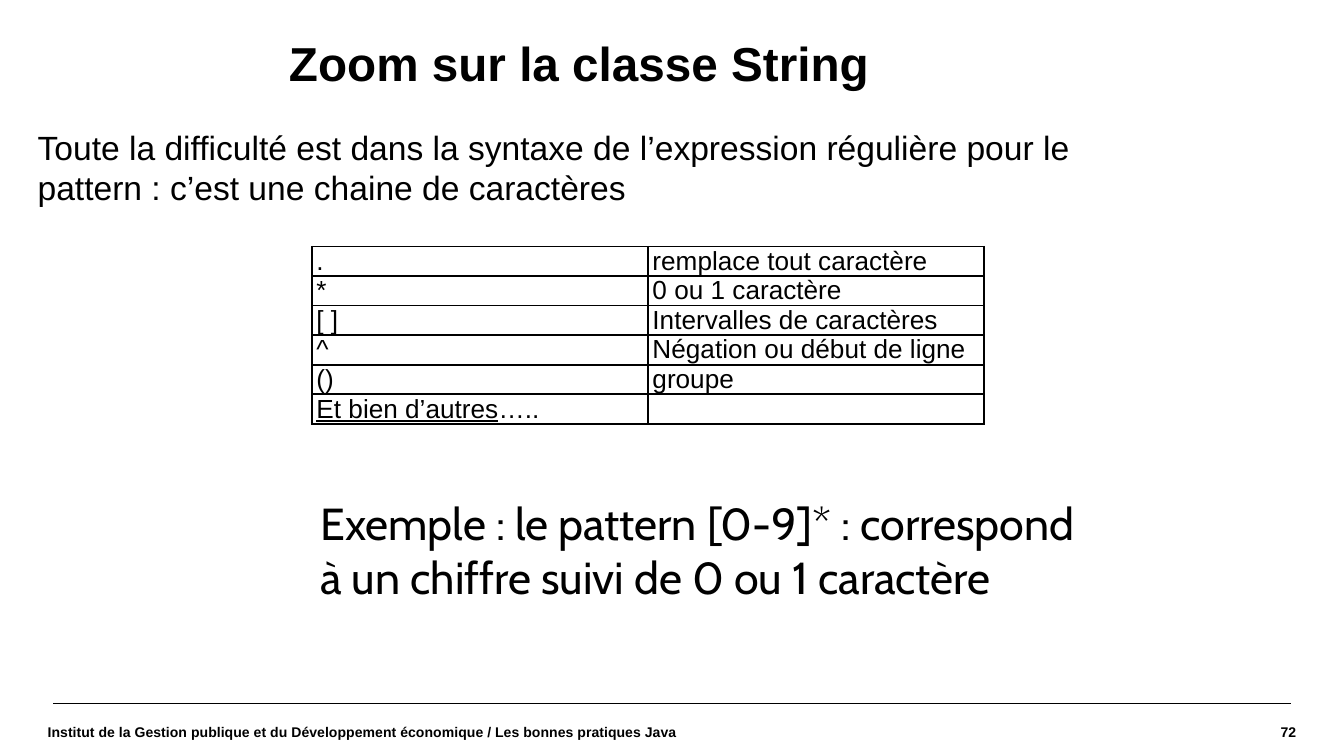
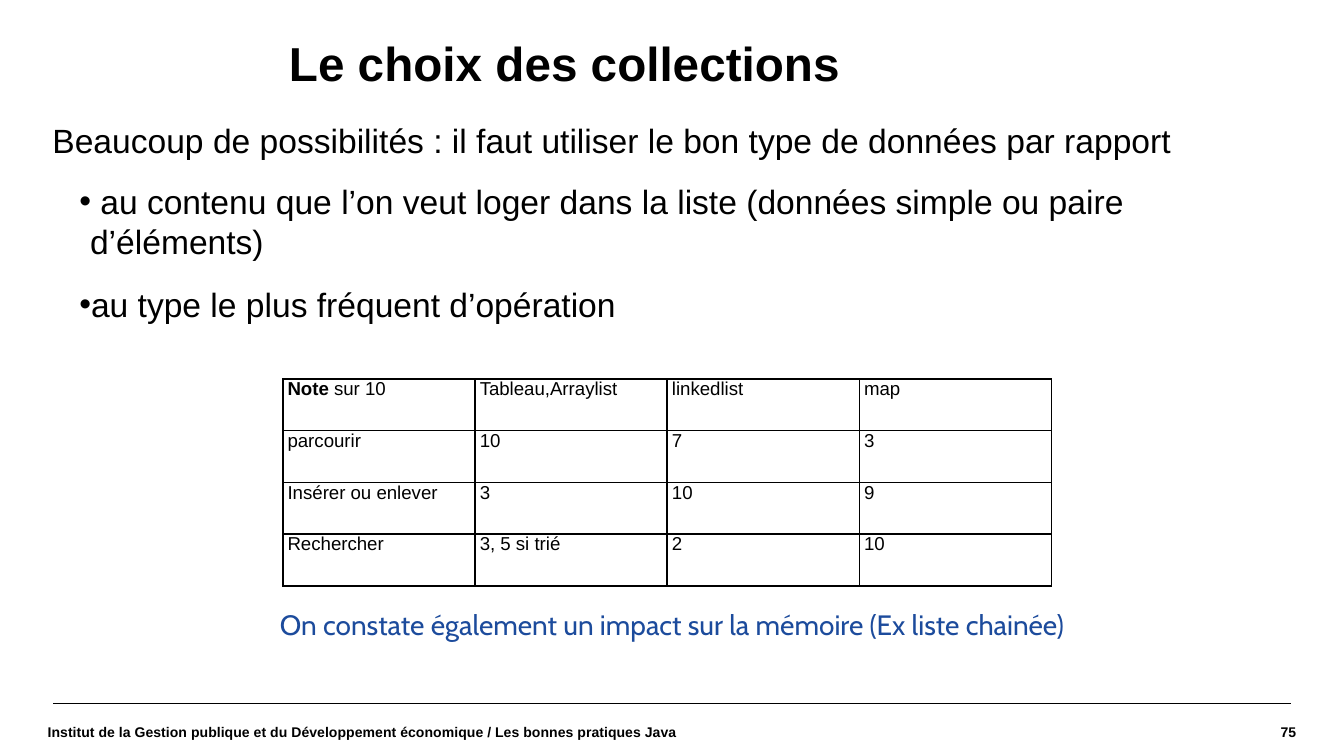
from dataclasses import dataclass
from typing import NamedTuple, Optional

from lxml.etree import SubElement
from pptx import Presentation
from pptx.dml.color import RGBColor as Rgb
from pptx.enum.shapes import MSO_CONNECTOR as Link
from pptx.enum.text import MSO_ANCHOR as Anchor, MSO_AUTO_SIZE as Fit, PP_ALIGN as Align
from pptx.oxml import parse_xml
from pptx.oxml.ns import nsdecls, qn
from pptx.util import Pt

PX = 4572


@dataclass(frozen=True)
class Theme:
    """Colours, fonts and type sizes of the deck."""
    ink: str = "000000"
    blue: str = "1C4B9C"
    sans: str = "Arial"
    soft: str = "Cabin"
    title: float = 25.5
    body: float = 18
    foot: float = 7.5
    large: float = 24
    small: float = 15
    signs: float = 14
    marks: float = 10
    rule: float = 0.8
    edge: float = 1


THEME = Theme()


class Box(NamedTuple):
    """Left, top, width and height in px."""
    x: int
    y: int
    w: int
    h: int


class Face(NamedTuple):
    """Look of a paragraph."""
    size: float
    name: str = THEME.sans
    color: str = THEME.ink
    bold: bool = False


class Run(NamedTuple):
    """Piece of text with its own emphasis."""
    text: str
    bold: Optional[bool] = None
    under: Optional[bool] = None


@dataclass(frozen=True)
class Grid:
    """Table with equal columns and rows."""
    x: int
    y: int
    col: int
    row: int
    size: float
    align: Align
    rows: list


@dataclass(frozen=True)
class Note:
    """Free remark below the table."""
    box: Box
    text: str
    face: Face


@dataclass(frozen=True)
class Page:
    """Content of one slide."""
    num: int
    title: str
    box: Box
    lead: str
    points: list
    grid: Grid
    note: Note


TITLE = Box(430, 60, 1278, 96)
FOOT = Box(71, 1050, 968, 78)
NUM = Box(1633, 1050, 296, 78)
OWNER = ("Institut de la Gestion publique et du Développement économique"
         " / Les bonnes pratiques Java")

PAGES = [
    Page(
        72, "Zoom sur la classe String", Box(56, 189, 1654, 258),
        "Toute la difficulté est dans la syntaxe de l’expression régulière"
        " pour le pattern : c’est une chaine de caractères",
        [],
        Grid(464, 367, 500, 44, THEME.signs, Align.JUSTIFY, [
            [".", "remplace tout caractère"],
            ["*", "0 ou 1 caractère"],
            ["[ ]", "Intervalles de caractères"],
            ["^", "Négation ou début de ligne"],
            ["()", "groupe"],
            [[Run("Et bien d’autres", under=True), Run("…..")], ""],
        ]),
        Note(Box(457, 728, 1204, 262),
             "Exemple : le pattern [0-9]* : correspond à un chiffre suivi"
             " de 0 ou 1 caractère",
             Face(THEME.large, THEME.soft)),
    ),
    Page(
        75, "Le choix des collections", Box(78, 178, 1772, 514),
        "Beaucoup de possibilités : il faut utiliser le bon type de données"
        " par rapport",
        [" au contenu que l’on veut loger dans la liste (données simple ou"
         " paire d’éléments)",
         "au type le plus fréquent d’opération"],
        Grid(421, 564, 286, 77, THEME.marks, Align.LEFT, [
            [[Run("Note", bold=True), Run(" sur 10")],
             "Tableau,Arraylist", "linkedlist", "map"],
            ["parcourir", "10", "7", "3"],
            ["Insérer ou enlever", "3", "10", "9"],
            ["Rechercher", "3, 5 si trié", "2", "10"],
        ]),
        Note(Box(397, 894, 1406, 70),
             "On constate également un impact sur la mémoire (Ex liste chainée)",
             Face(THEME.small, THEME.soft, THEME.blue)),
    ),
]


def emu(box: Box) -> list:
    """Turn a box into EMU lengths."""
    return [side * PX for side in box]


def write(para, text, face: Face, align: Align = Align.LEFT) -> None:
    """Fill a paragraph with text or runs."""
    para.alignment = align
    font = para.font
    font.size, font.name, font.bold = Pt(face.size), face.name, face.bold
    font.color.rgb = Rgb.from_string(face.color)
    for part in [Run(text)] if isinstance(text, str) else text:
        if part.text:
            run = para.add_run()
            run.text = part.text
            if part.bold is not None:
                run.font.bold = part.bold
            if part.under is not None:
                run.font.underline = part.under


def mark(para, left: int, hang: int, sign: str = "") -> None:
    """Set the indents and bullet of a paragraph."""
    props = para._p.get_or_add_pPr()
    props.set("marL", str(left * PX))
    props.set("indent", str(hang * PX))
    if sign:
        SubElement(props, qn("a:buChar")).set("char", sign)
    else:
        SubElement(props, qn("a:buNone"))


def frame(shape, box: Box, anchor: Anchor = Anchor.TOP):
    """Place a shape and clear the insets of its text."""
    shape.left, shape.top, shape.width, shape.height = emu(box)
    text = shape.text_frame
    text.margin_left = text.margin_top = text.margin_right = text.margin_bottom = 0
    text.word_wrap, text.auto_size = True, Fit.NONE
    text.vertical_anchor = anchor
    return text


def head(slide, page: Page) -> None:
    """Write the title."""
    para = frame(slide.shapes.title, TITLE).paragraphs[0]
    para.line_spacing = 0.9
    write(para, page.title, Face(THEME.title, bold=True))


def body(slide, page: Page) -> None:
    """Write the lead and its points."""
    text = frame(slide.placeholders[1], page.box)
    para = text.paragraphs[0]
    para.space_before, para.space_after = Pt(0), Pt(5)
    mark(para, 0, 0)
    write(para, page.lead, Face(THEME.body))
    for point in page.points:
        para = text.add_paragraph()
        para.level = 1
        para.space_before = para.space_after = Pt(6)
        mark(para, 56, -16, "•")
        write(para, point, Face(THEME.body))


def edge(cell) -> None:
    """Draw the four borders of a cell."""
    props = cell._tc.get_or_add_tcPr()
    for spot, side in enumerate("LRTB"):
        props.insert(spot, parse_xml(
            f'<a:ln{side} {nsdecls("a")} w="{Pt(THEME.edge)}"><a:solidFill>'
            f'<a:srgbClr val="{THEME.ink}"/></a:solidFill></a:ln{side}>'))


def table(slide, grid: Grid) -> None:
    """Draw a bordered table."""
    rows, cols = len(grid.rows), len(grid.rows[0])
    box = Box(grid.x, grid.y, cols * grid.col, rows * grid.row)
    tab = slide.shapes.add_table(rows, cols, *emu(box)).table
    tab.first_row = tab.horz_banding = False
    for r, line in enumerate(grid.rows):
        for c, text in enumerate(line):
            cell = tab.cell(r, c)
            cell.margin_left = cell.margin_right = 7 * PX
            cell.margin_top = cell.margin_bottom = 0
            cell.fill.background()
            edge(cell)
            write(cell.text_frame.paragraphs[0], text, Face(grid.size), grid.align)


def remark(slide, note: Note) -> None:
    """Write the remark under the table."""
    text = slide.shapes.add_textbox(*emu(note.box)).text_frame
    text.word_wrap, text.auto_size = True, Fit.SHAPE_TO_FIT_TEXT
    write(text.paragraphs[0], note.text, note.face)


def foot(slide, num: int) -> None:
    """Draw the rule, the page number and the owner."""
    ends = [side * PX for side in (79, 1047, 1921, 1047)]
    rule = slide.shapes.add_connector(Link.STRAIGHT, *ends)
    rule.line.width = Pt(THEME.rule)
    rule.line.color.rgb = Rgb.from_string(THEME.ink)
    SubElement(rule._element.spPr, qn("a:effectLst"))
    for box, text, align in ((NUM, str(num), Align.RIGHT), (FOOT, OWNER, Align.LEFT)):
        area = frame(slide.shapes.add_textbox(*emu(box)), box, Anchor.MIDDLE)
        write(area.paragraphs[0], text, Face(THEME.foot, bold=True), align)


def main() -> None:
    """Build and save the deck."""
    deck = Presentation()
    deck.slide_width, deck.slide_height = 2000 * PX, 1125 * PX
    for page in PAGES:
        slide = deck.slides.add_slide(deck.slide_layouts[1])
        head(slide, page)
        body(slide, page)
        table(slide, page.grid)
        remark(slide, page.note)
        foot(slide, page.num)
    deck.save("out.pptx")


if __name__ == "__main__":
    main()
